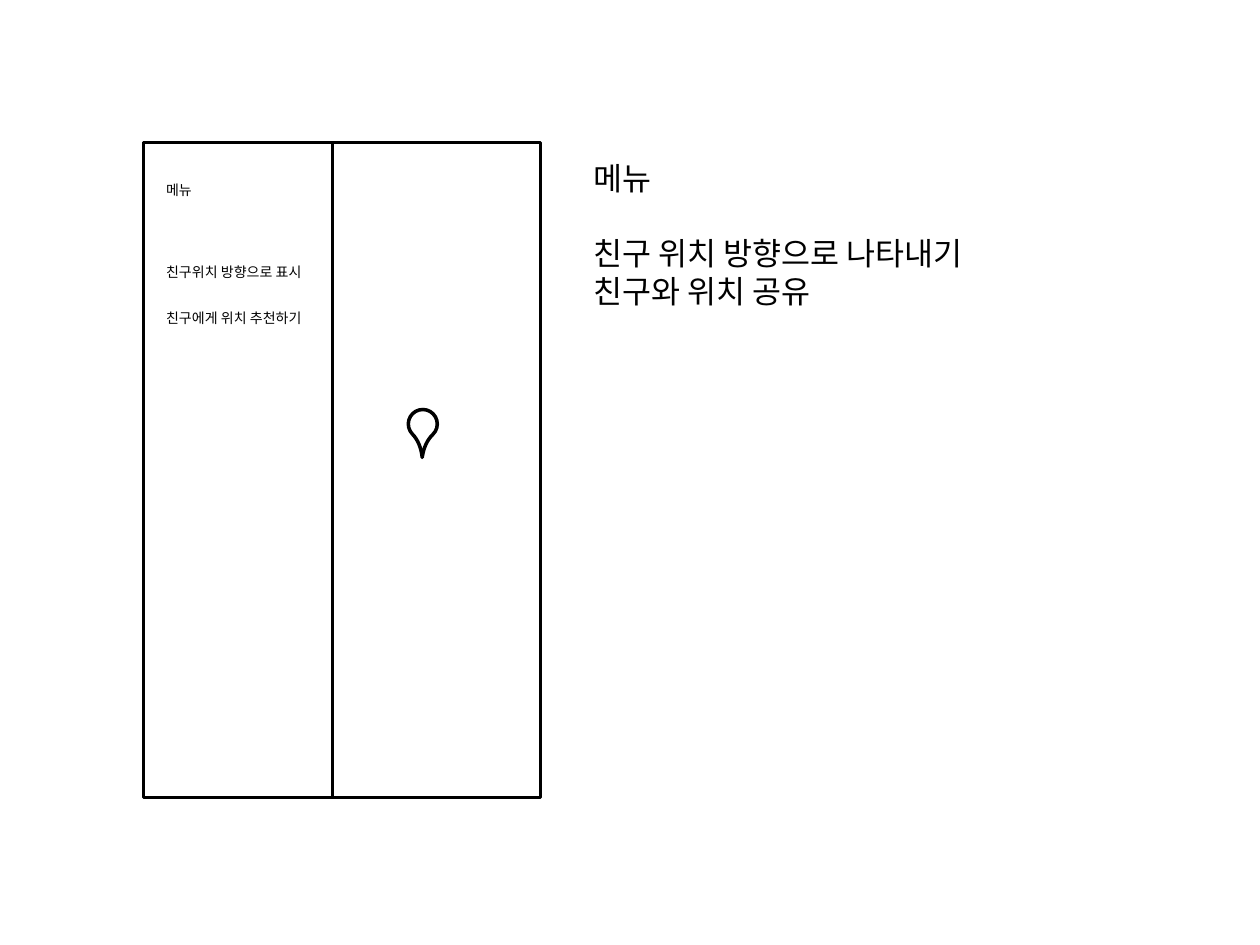
from dataclasses import dataclass

from lxml import etree
from pptx import Presentation
from pptx.dml.color import RGBColor
from pptx.enum.shapes import MSO_CONNECTOR, MSO_SHAPE
from pptx.enum.text import MSO_AUTO_SIZE
from pptx.oxml.ns import qn
from pptx.util import Inches, Pt


@dataclass(frozen=True)
class Theme:
    ink: RGBColor = RGBColor(0, 0, 0)
    font: str = "Noto Sans CJK KR"
    note_size: float = 18
    menu_size: float = 8
    outline: float = 2
    divider: float = 1.5


THEME = Theme()
SLIDE_W, SLIDE_H = 10, 7.5

# Each note: text, space before in points
NOTES = [("메뉴", 0), ("친구 위치 방향으로 나타내기", 21.5), ("친구와 위치 공유", 0)]
NOTES_BOX = (4.61, 1.21, 3.5, 1.31)

# Each menu entry: text, top, width
MENU = [
    ("메뉴", 1.39, 0.43),
    ("친구위치 방향으로 표시", 2.04, 1.4),
    ("친구에게 위치 추천하기", 2.41, 1.4),
]
MENU_LEFT, MENU_H = 1.22, 0.24

PHONE = (1.14, 1.13, 3.15, 5.2)
DRAWER_W = 1.5
PIN = (3.24, 3.25, 0.23, 0.23)


def add_outline(s, kind, box):
    sp = s.shapes.add_shape(kind, *map(Inches, box))
    sp.shadow.inherit = False
    sp.fill.background()
    sp.line.color.rgb = THEME.ink
    sp.line.width = Pt(THEME.outline)
    return sp


def add_text(s, box, paragraphs, size):
    tf = s.shapes.add_textbox(*map(Inches, box)).text_frame
    tf.word_wrap = False
    tf.auto_size = MSO_AUTO_SIZE.SHAPE_TO_FIT_TEXT
    for i, (text, before) in enumerate(paragraphs):
        p = tf.add_paragraph() if i else tf.paragraphs[0]
        if before:
            p.space_before = Pt(before)
        r = p.add_run()
        r.text = text
        for name, value in {"name": THEME.font, "size": Pt(size)}.items():
            setattr(r.font, name, value)
        r.font.color.rgb = THEME.ink
        ea = etree.SubElement(r.font._element, qn("a:ea"))
        ea.set("typeface", THEME.font)


def add_divider(s):
    left, top, _, height = PHONE
    x = left + DRAWER_W
    line = s.shapes.add_connector(
        MSO_CONNECTOR.STRAIGHT, *map(Inches, (x, top, x, top + height)))
    line.line.color.rgb = THEME.ink
    line.line.width = Pt(THEME.divider)
    etree.SubElement(line._element.spPr, qn("a:effectLst"))


def main():
    prs = Presentation()
    prs.slide_width, prs.slide_height = Inches(SLIDE_W), Inches(SLIDE_H)
    s = prs.slides.add_slide(prs.slide_layouts[6])

    add_outline(s, MSO_SHAPE.RECTANGLE, PHONE)
    pin = add_outline(s, MSO_SHAPE.TEAR, PIN)
    pin.rotation = 136
    pin.adjustments[0] = 1.63

    add_text(s, NOTES_BOX, NOTES, THEME.note_size)
    add_divider(s)
    for text, top, width in MENU:
        add_text(s, (MENU_LEFT, top, width, MENU_H), [(text, 0)], THEME.menu_size)

    prs.save("out.pptx")


if __name__ == "__main__":
    main()
